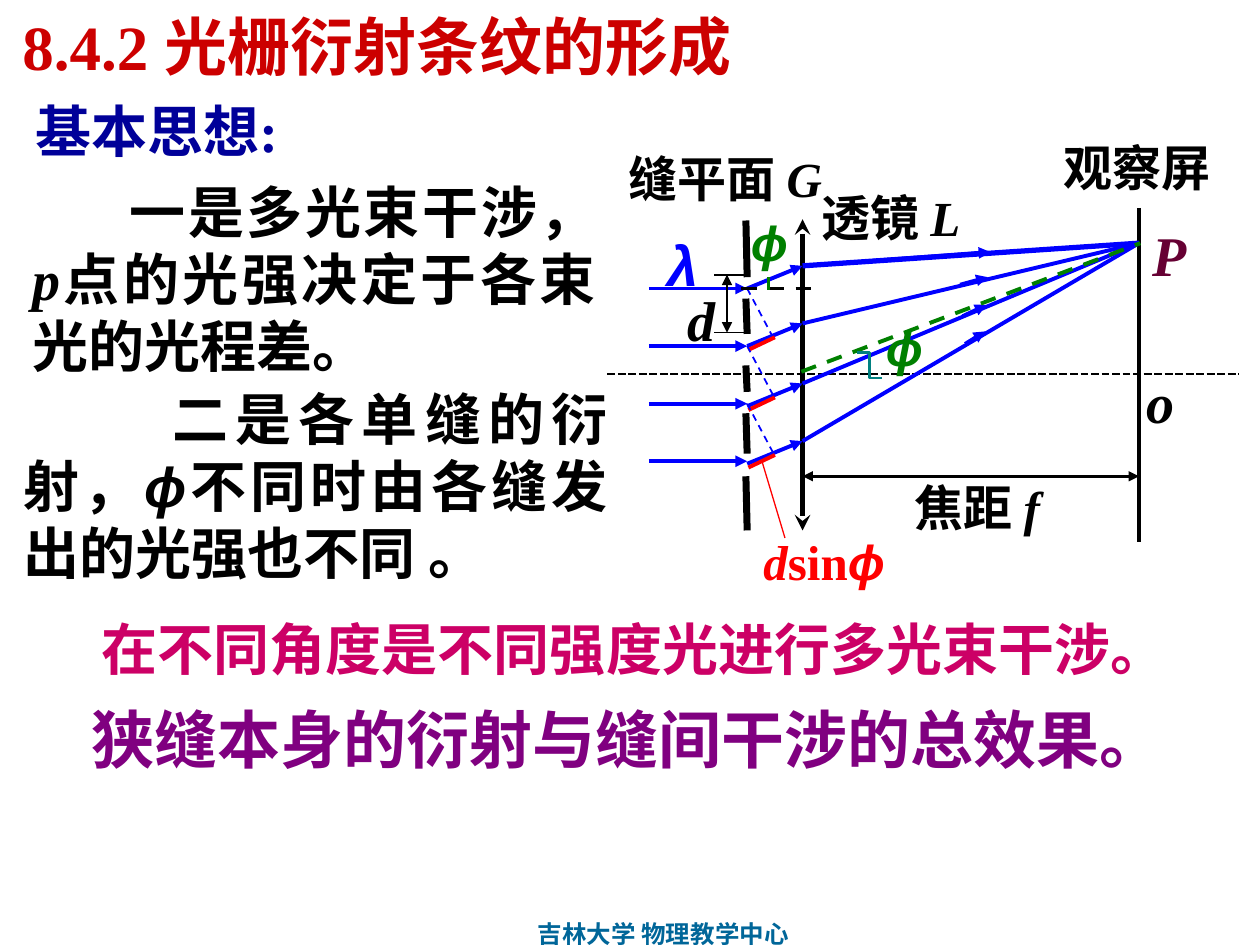
from math import cos, pi, sin
from lxml.etree import SubElement
from pptx import Presentation
from pptx.dml.color import RGBColor
from pptx.enum.dml import MSO_LINE
from pptx.enum.shapes import MSO_CONNECTOR
from pptx.enum.text import MSO_ANCHOR, PP_ALIGN
from pptx.oxml.ns import qn
from pptx.util import Inches, Pt

deck = Presentation()
deck.slide_width, deck.slide_height = Inches(10), Inches(7.5)
slide = deck.slides.add_slide(deck.slide_layouts[6])
cell = deck.slide_width / 100

hues = {
    "title": "CC0000", "navy": "000099", "black": "000000", "rose": "CC0066",
    "ray": "0000FF", "wine": "660033", "green": "008000", "teal": "008080",
    "red": "FF0000", "purple": "800080", "foot": "006699",
}
roman, sans = "Times New Roman", "Arial"


def line(x1, y1, x2, y2, hue, size, dash=None, head=None, tail=None):
    ends = [round(v * cell) for v in (x1, y1, x2, y2)]
    link = slide.shapes.add_connector(MSO_CONNECTOR.STRAIGHT, *ends)
    link.line.color.rgb = RGBColor.from_string(hues[hue])
    link.line.width = Pt(size)
    if dash:
        link.line.dash_style = dash
    edge = link.line._get_or_add_ln()
    for tag, kind in (("a:headEnd", head), ("a:tailEnd", tail)):
        if kind:
            SubElement(edge, qn(tag), type=kind)
    SubElement(link._element.spPr, qn("a:effectLst"))


def text(box, runs, size, hue, pad=0.1, align=None, lead=None, indent=0, mid=False):
    frame = slide.shapes.add_textbox(*[round(v * cell) for v in box]).text_frame
    frame.word_wrap = True
    frame.margin_left = frame.margin_right = round(pad * cell)
    frame.margin_top = frame.margin_bottom = round(min(pad, 0.5) * cell)
    if mid:
        frame.vertical_anchor = MSO_ANCHOR.MIDDLE
    para = frame.paragraphs[0]
    para.alignment = align
    para.line_spacing = lead
    if indent:
        para._p.get_or_add_pPr().set("indent", str(round(indent * cell)))
    for words, face, slant in runs:
        run = para.add_run()
        run.text = words
        font = run.font
        font.name, font.size, font.bold, font.italic = face, Pt(size), True, slant
        font.color.rgb = RGBColor.from_string(hues[hue])


phi = ("ϕ", sans, True)
just = PP_ALIGN.JUSTIFY

text((0.8, 0.1, 60.9, 7), [("8.4.2 光栅衍射条纹的形成", roman, False)], 36, "title", 1, mid=True)
text((1.8, 7.2, 30, 6.4), [("基本思想:", roman, False)], 32, "navy", 1)
text((1.6, 13.6, 46.7, 17),
     [("一是多光束干涉，", roman, False), ("p", roman, True),
      ("点的光强决定于各束光的光程差。", roman, False)],
     32, "black", 1, just, indent=7.7)
text((0.9, 30, 48.3, 17),
     [("二是各单缝的衍射，", roman, False), phi,
      ("不同时由各缝发出的光强也不同 。", roman, False)],
     32, "black", 1, just, indent=11.8)
text((7.1, 48.3, 88.9, 6.4),
     [("在不同角度是不同强度光进行多光束干涉。", roman, False)], 32, "rose", 1)
text((6.3, 54.7, 90.8, 6.6),
     [("狭缝本身的衍射与缝间干涉的总效果。", sans, False)], 36, "purple", 1, lead=1.2, mid=True)
text((33.8, 72, 37.7, 3.2),
     [("吉林大学 物理教学中心", sans, False)], 14, "foot", 1, PP_ALIGN.CENTER, 1.2)

slit, lens, wall, spot, axis = 59.3, 63.7, 90.4, 19.3, 29.7

for top, end in ((17.5, 22), (23.7, 26.5), (29, 31.1), (32.8, 36), (37.8, 42.1)):
    line(slit - 0.1, top, slit, end, "black", 4)
line(lens, 17.4, lens, 42.1, "black", 3, head="stealth", tail="stealth")
line(wall, 16.5, wall, 43, "black", 2.25)
line(48.2, axis, 98.3, axis, "black", 1.5, MSO_LINE.SQUARE_DOT)
line(lens, 37.8, wall, 37.8, "black", 1.5, head="triangle", tail="triangle")

marks = ((69.3, 20.7, 78.6, 20), (76.2, 22.6, 78.4, 22),
         (76.4, 25.1, 78.3, 24.2), (76.6, 27.3, 78.2, 26.3))
for row, mark in enumerate(marks):
    y = 22.9 + 4.57 * row
    low = y + (0.2 if row > 1 else 0)
    line(51.5, y, slit, y, "ray", 2.25, tail="triangle")
    line(slit, low, lens, low - 1.8, "ray", 2.25, tail="triangle")
    line(lens, low - 1.8, wall, spot, "ray", 2.25 if row else 3)
    line(*mark, "ray", 2.25, tail="triangle")
    if row:
        line(slit, y - 4.57, slit + 2.1, y - 0.6, "ray", 1, MSO_LINE.DASH)
        line(slit + 0.1, low + 0.3, slit + 2.2, low - 0.7, "red", 2.25)

line(63.6, 29.5, 90.5, spot, "green", 2.25, MSO_LINE.DASH)
line(58.8, 22.9, 64.6, 22.9, "black", 2.25, MSO_LINE.DASH)
for y in (21.8, 26.4):
    line(56.7, y, 59.1, y, "black", 1)
line(57.7, 21.8, 57.7, 26.4, "black", 1, head="triangle", tail="triangle")
line(60.5, 36.7, 62.3, 42.7, "red", 0.75)

for x, y, wide, high, hue in ((68.3, 29.8, 1.2, 2, "teal"), (61.3, 22.9, 0.1, 0.9, "green")):
    turns = [pi / 2 * step / 12 for step in range(13)]
    dots = [(x + wide * sin(t), y - high * cos(t)) for t in turns]
    pen = slide.shapes.build_freeform(*dots[0], scale=cell)
    pen.add_line_segments(dots[1:], close=False)
    arc = pen.convert_to_shape()
    arc.shadow.inherit = False
    arc.fill.background()
    arc.line.color.rgb = RGBColor.from_string(hues[hue])
    arc.line.width = Pt(1.5)

tags = (
    ((52.9, 18.2, 3.3, 5.4), [("λ", sans, True)], 32, "ray"),
    ((90.9, 29.1, 5.6, 6.2), [("o", roman, True)], 32, "black"),
    ((91.4, 17.4, 3.1, 3.5), [("P", roman, True)], 32, "wine"),
    ((54.5, 22.6, 4.6, 4.7), [("d", roman, True)], 32, "black"),
    ((72.5, 37.8, 11.3, 5.5), [("焦距 ", roman, False), ("f", roman, True)], 28, "black"),
    ((49.8, 11.7, 19.9, 4.5), [("缝平面 ", roman, False), ("G", roman, True)], 28, "black"),
    ((84.3, 10.8, 15.7, 5), [("观察屏", roman, False)], 28, "black"),
    ((65.1, 14.8, 12.6, 6.4), [("透镜 ", roman, False), ("L", roman, True)], 28, "black"),
    ((60.5, 42.1, 12.3, 4.6), [("d", roman, True), ("sin", roman, False), phi], 28, "red"),
)
for tag in tags:
    text(*tag, align=just)
text((70.2, 26.4, 5.2, 4.6), [phi], 28, "green", align=just, lead=0.7)
text((59.5, 18.8, 5.8, 4.9), [phi], 28, "green", lead=0.5)

deck.save("out.pptx")
